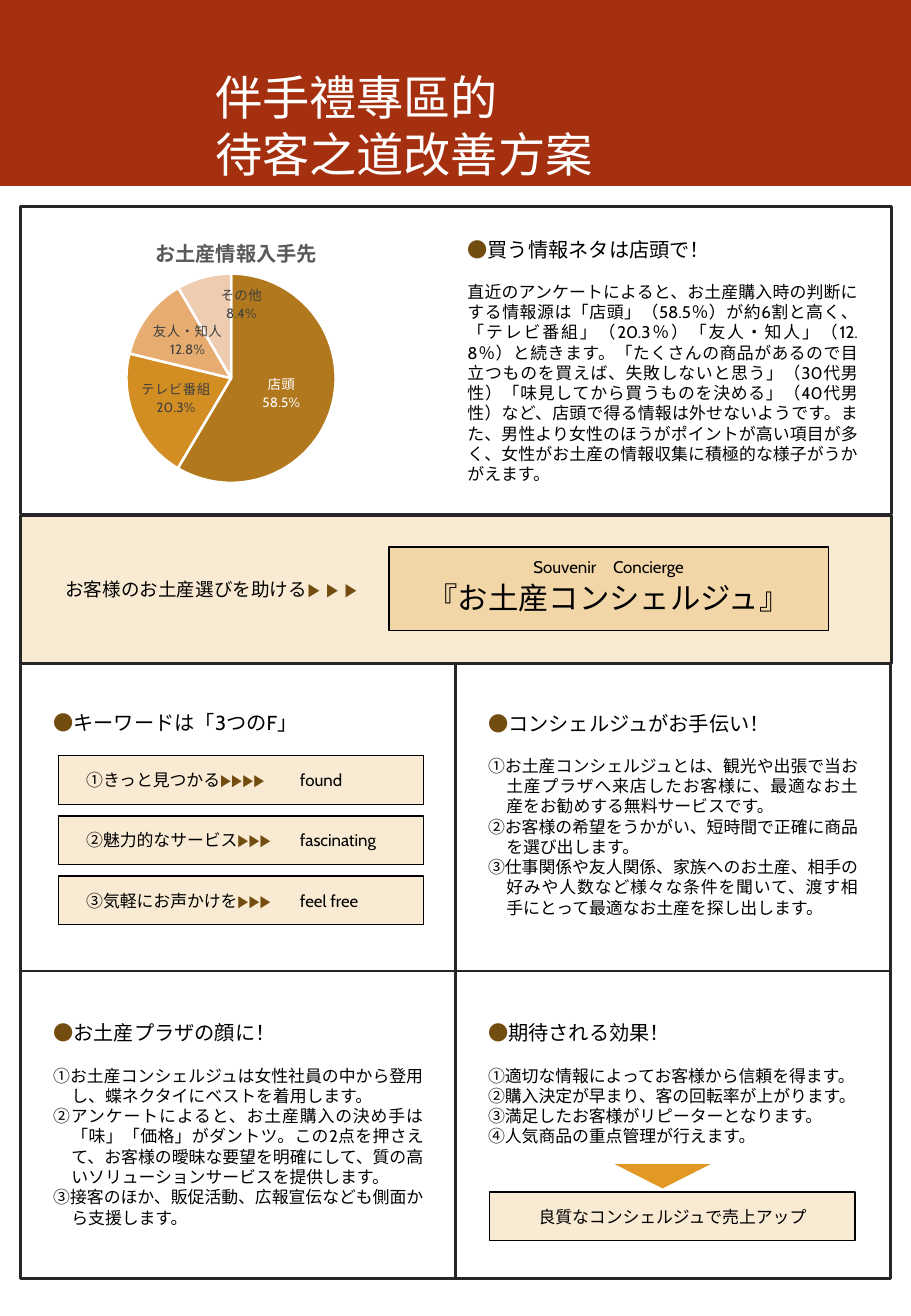
from lxml import etree
from pptx import Presentation
from pptx.chart.data import CategoryChartData
from pptx.dml.color import RGBColor
from pptx.enum.chart import XL_CHART_TYPE, XL_LABEL_POSITION
from pptx.enum.shapes import MSO_SHAPE
from pptx.enum.text import MSO_ANCHOR, PP_ALIGN
from pptx.oxml.ns import qn
from pptx.util import Inches, Pt

PIE = XL_CHART_TYPE.PIE
LABEL_CENTER, LABEL_INSIDE = XL_LABEL_POSITION.CENTER, XL_LABEL_POSITION.INSIDE_END
RECTANGLE, TRIANGLE = MSO_SHAPE.RECTANGLE, MSO_SHAPE.ISOSCELES_TRIANGLE
TOP, MIDDLE = MSO_ANCHOR.TOP, MSO_ANCHOR.MIDDLE
LEFT, CENTER, JUSTIFY = PP_ALIGN.LEFT, PP_ALIGN.CENTER, PP_ALIGN.JUSTIFY

FONT, TITLE_FONT = "Cabin", "Noto Sans CJK JP"
BLACK, WHITE, BROWN, FRAME = "000000", "FFFFFF", "734D10", "262626"
RED, CREAM, SAND, ORANGE = "A5300F", "F9EAD3", "F3D6A8", "E19825"
TITLE_GREY, LABEL_GREY = "595959", "404040"
MARGIN, COLUMN, MIDLINE = 0.17, 3.58, 3.75
ROW_TOP, ROW_STEP = 5.46, 2.53
SOURCES = [
    ("店頭", 0.585, "B2781D"),
    ("テレビ番組", 0.203, "D38E23"),
    ("友人・知人", 0.128, "E6AC70"),
    ("その他", 0.084, "EECCB0"),
]
KEYWORDS = [
    ("①きっと見つかる", "▶▶▶▶", "found"),
    ("②魅力的なサービス", "▶▶▶", "fascinating"),
    ("③気軽にお声かけを", "▶▶▶", "feel free"),
]
SURVEY = [
    "直近のアンケートによると、お土産購入時の判断にする情報源は「店頭」（58.5％）が約6割と高く、"
    "「テレビ番組」（20.3％）「友人・知人」（12.8％）と続きます。「たくさんの商品があるので目立つものを買えば、"
    "失敗しないと思う」（30代男性）「味見してから買うものを決める」（40代男性）など、店頭で得る情報は外せないようです。"
    "また、男性より女性のほうがポイントが高い項目が多く、女性がお土産の情報収集に積極的な様子がうかがえます。",
]
HELP = [
    "①お土産コンシェルジュとは、観光や出張で当お土産プラザへ来店したお客様に、最適なお土産をお勧めする無料サービスです。",
    "②お客様の希望をうかがい、短時間で正確に商品を選び出します。",
    "③仕事関係や友人関係、家族へのお土産、相手の好みや人数など様々な条件を聞いて、渡す相手にとって最適なお土産を探し出します。",
]
FACE = [
    "①お土産コンシェルジュは女性社員の中から登用し、蝶ネクタイにベストを着用します。",
    "②アンケートによると、お土産購入の決め手は「味」「価格」がダントツ。この2点を押さえて、"
    "お客様の曖昧な要望を明確にして、質の高いソリューションサービスを提供します。",
    "③接客のほか、販促活動、広報宣伝なども側面から支援します。",
]
EFFECTS = [
    "①適切な情報によってお客様から信頼を得ます。",
    "②購入決定が早まり、客の回転率が上がります。",
    "③満足したお客様がリピーターとなります。",
    "④人気商品の重点管理が行えます。",
]


def rgb(value):
    """Turn a hex string into a colour."""
    return RGBColor.from_string(value)


def style_font(font, size, color, face=FONT):
    """Set size, colour and face of a font."""
    font.size, font.name = Pt(size), face
    font.color.rgb = rgb(color)


def add_run(paragraph, text, size, color=BLACK, face=FONT):
    """Append a styled run, with the East Asian face set too."""
    run = paragraph.add_run()
    run.text = text
    style_font(run.font, size, color, face)
    etree.SubElement(run.font._element, qn("a:ea")).set("typeface", FONT)


def add_rect(slide, box, fill=None, line=None, width=1.5, kind=RECTANGLE):
    """Add a preset shape with a plain fill and outline."""
    shape = slide.shapes.add_shape(kind, *map(Inches, box))
    shape.shadow.inherit = False
    if fill:
        shape.fill.solid()
        shape.fill.fore_color.rgb = rgb(fill)
    else:
        shape.fill.background()
    if line:
        shape.line.color.rgb = rgb(line)
        shape.line.width = Pt(width)
    else:
        shape.line.fill.background()
    return shape


def first_paragraph(shape, align, anchor=MIDDLE):
    """Prepare a shape's text frame and return its first paragraph."""
    frame = shape.text_frame
    frame.word_wrap, frame.vertical_anchor = True, anchor
    frame.paragraphs[0].alignment = align
    return frame.paragraphs[0]


def add_section(slide, left, top, height, heading, items=(), hanging=True):
    """Add a bulleted heading with its body paragraphs."""
    width = 3.24 if hanging else 3.41
    section = slide.shapes.add_textbox(*map(Inches, (left, top, width, height)))
    paragraph = first_paragraph(section, JUSTIFY, TOP)
    add_run(paragraph, "●", 12, BROWN)
    add_run(paragraph, heading, 12)
    for number, item in enumerate(items):
        paragraph = section.text_frame.add_paragraph()
        paragraph.alignment = JUSTIFY
        if number == 0:
            paragraph.space_before = Pt(12)
        if hanging:
            properties = paragraph._p.get_or_add_pPr()
            properties.set("marL", str(Inches(0.15)))
            properties.set("indent", str(-Inches(0.15)))
        add_run(paragraph, item, 10)


def manual_layout(**values):
    """Build a chart layout element from its parts."""
    layout = etree.Element(qn("c:layout"))
    manual = etree.SubElement(layout, qn("c:manualLayout"))
    for key, value in values.items():
        etree.SubElement(manual, qn(f"c:{key}")).set("val", str(value))
    return layout


def replace_layout(parent, before, layout):
    """Put a layout into a chart part, after the given child if any."""
    for old in parent.findall(qn("c:layout")):
        parent.remove(old)
    anchor = parent.find(qn(before)) if before else None
    if anchor is None:
        parent.insert(0, layout)
    else:
        anchor.addnext(layout)


def show_category(labels):
    """Show the category above the value in chart labels."""
    labels.find(qn("c:showCatName")).set("val", "1")
    separator = etree.Element(qn("c:separator"))
    separator.text = "\n"
    labels.find(qn("c:showBubbleSize")).addnext(separator)


def add_source_chart(slide):
    """Add the pie chart of information sources."""
    data = CategoryChartData(number_format="0.0%")
    data.categories = [name for name, _, _ in SOURCES]
    data.add_series("Series 1", [share for _, share, _ in SOURCES])
    box = map(Inches, (0.15, 1.78, 3.54, 2.36))
    chart = slide.shapes.add_chart(PIE, *box, data).chart
    style_font(chart.font, 10, BLACK)
    chart.has_legend = False
    chart.has_title = True
    add_run(chart.chart_title.text_frame.paragraphs[0], "お土産情報入手先", 12, TITLE_GREY)
    replace_layout(chart.chart_title._element, "c:tx",
                   manual_layout(xMode="edge", yMode="edge", x=0.31, y=0.07))
    replace_layout(chart._chartSpace.chart.plotArea, None,
                   manual_layout(layoutTarget="inner", xMode="edge", yMode="edge",
                                 x=0.25, y=0.2, w=0.49, h=0.73))
    chart.plots[0].vary_by_categories = True
    series = chart.plots[0].series[0]
    labels = series.data_labels
    labels.show_value = True
    labels.number_format, labels.number_format_is_linked = "0.0%", False
    labels.position = LABEL_INSIDE
    style_font(labels.font, 8, LABEL_GREY)
    show_category(labels._element)
    for number, (_, _, color) in enumerate(SOURCES):
        point = series.points[number]
        point.format.fill.solid()
        point.format.fill.fore_color.rgb = rgb(color)
        point.format.line.color.rgb = rgb(WHITE)
        point.format.line.width = Pt(1.5)
    for number, color, position in ((0, WHITE, LABEL_CENTER), (3, LABEL_GREY, LABEL_INSIDE)):
        label = series.points[number].data_label
        style_font(label.font, 8, color)
        label.position = position
    for element in labels._element.findall(qn("c:dLbl")):
        show_category(element)
    replace_layout(element, "c:idx", manual_layout(x=0.035, y=0))


def add_title(slide):
    """Turn the title placeholder into the red banner."""
    title = slide.shapes.title
    title.left, title.top, title.width, title.height = map(Inches, (0, 0, 7.5, 1.53))
    title.fill.solid()
    title.fill.fore_color.rgb = rgb(RED)
    paragraph = first_paragraph(title, LEFT, TOP)
    title.text_frame.margin_left, title.text_frame.margin_top = Inches(1.77), Inches(0.56)
    add_run(paragraph, "伴手禮專區的", 28, WHITE, TITLE_FONT)
    paragraph.add_line_break()
    add_run(paragraph, "待客之道改善方案", 28, WHITE, TITLE_FONT)


def add_concept(slide):
    """Add the band that presents the concierge."""
    add_rect(slide, (MARGIN, 4.24, 7.17, 1.22), CREAM, FRAME)
    lead = slide.shapes.add_textbox(*map(Inches, (0.34, 4.7, 2.85, 0.29)))
    paragraph = first_paragraph(lead, CENTER)
    add_run(paragraph, "お客様のお土産選びを助ける", 11)
    add_run(paragraph, "▶▶▶", 11, BROWN)
    concierge = add_rect(slide, (3.2, 4.5, 3.62, 0.69), SAND, BLACK, 1)
    paragraph = first_paragraph(concierge, CENTER, TOP)
    concierge.text_frame.margin_top = Inches(0.08)
    add_run(paragraph, "Souvenir　Concierge", 10)
    paragraph = concierge.text_frame.add_paragraph()
    paragraph.alignment, paragraph.space_before = CENTER, Pt(1.5)
    add_run(paragraph, "『お土産コンシェルジュ』", 18)


def add_keyword(slide, top, phrase, arrows, word):
    """Add one keyword box with a tab before the English word."""
    keyword = add_rect(slide, (0.48, top, 3.01, 0.4), CREAM, BLACK, 0.75)
    paragraph = first_paragraph(keyword, LEFT)
    keyword.text_frame.margin_left = Inches(0.23)
    tabs = etree.SubElement(paragraph._p.get_or_add_pPr(), qn("a:tabLst"))
    etree.SubElement(tabs, qn("a:tab"), pos=str(Inches(1.76)), algn="l")
    add_run(paragraph, phrase, 10)
    add_run(paragraph, arrows + "\t", 10, BROWN)
    add_run(paragraph, word, 10)


def main():
    """Build and save the slide."""
    deck = Presentation()
    deck.slide_width, deck.slide_height = Inches(7.5), Inches(10.83)
    slide = deck.slides.add_slide(deck.slide_layouts[5])
    add_title(slide)
    add_rect(slide, (MARGIN, 1.7, 7.17, 2.53), line=FRAME)
    add_concept(slide)
    for row in range(2):
        for column in range(2):
            add_rect(slide, (MARGIN + column * COLUMN, ROW_TOP + row * ROW_STEP, COLUMN, ROW_STEP),
                     line=FRAME)
    add_source_chart(slide)
    add_section(slide, MIDLINE, 1.9, 2.15, "買う情報ネタは店頭で！", SURVEY, hanging=False)
    add_section(slide, 0.34, 5.8, 0.3, "キーワードは「3つのF」")
    add_section(slide, 3.92, 5.8, 1.82, "コンシェルジュがお手伝い！", HELP)
    add_section(slide, 0.34, 8.35, 1.82, "お土産プラザの顔に！", FACE)
    add_section(slide, 3.92, 8.35, 1.14, "期待される効果！", EFFECTS)
    for row, keyword in enumerate(KEYWORDS):
        add_keyword(slide, 6.22 + row * 0.495, *keyword)
    add_rect(slide, (5.06, 9.58, 0.79, 0.2), ORANGE, kind=TRIANGLE).rotation = 180
    result = add_rect(slide, (4.03, 9.81, 3.01, 0.4), CREAM, BLACK, 1)
    add_run(first_paragraph(result, CENTER), "良質なコンシェルジュで売上アップ", 10)
    deck.save("out.pptx")


if __name__ == "__main__":
    main()
